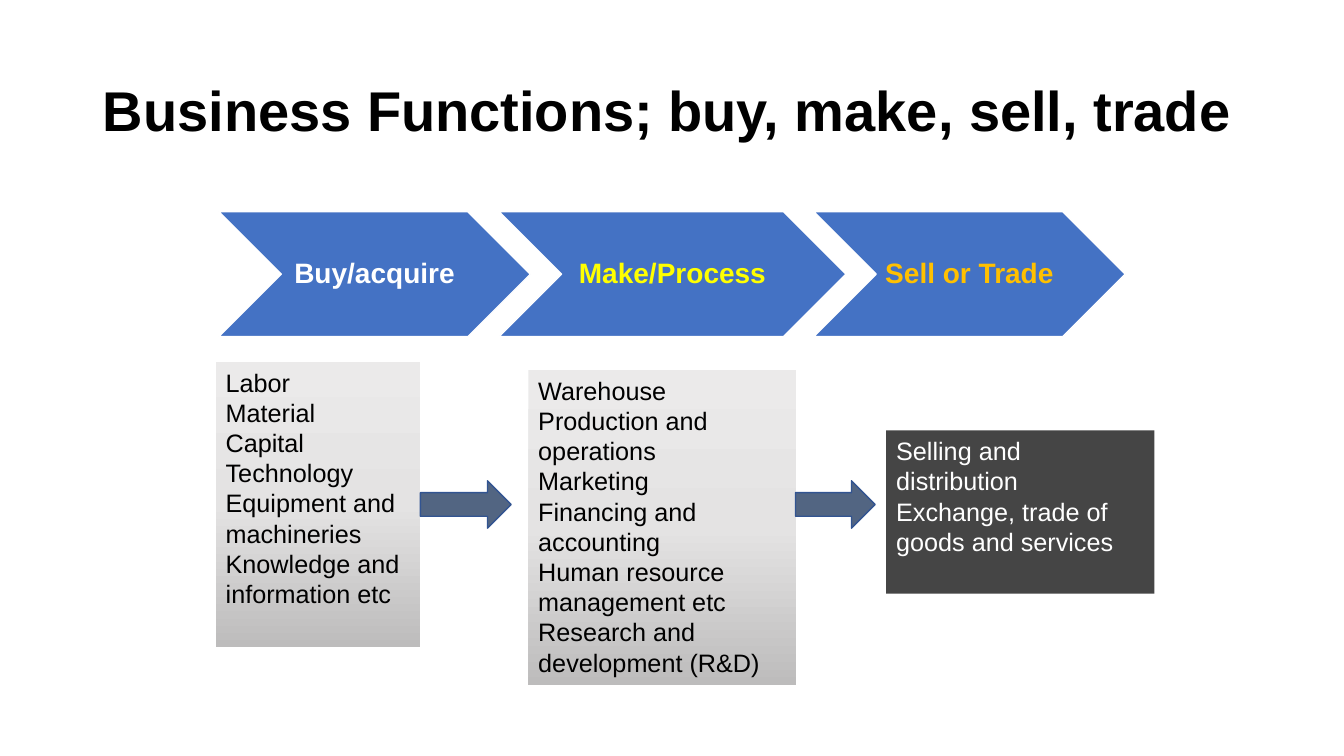
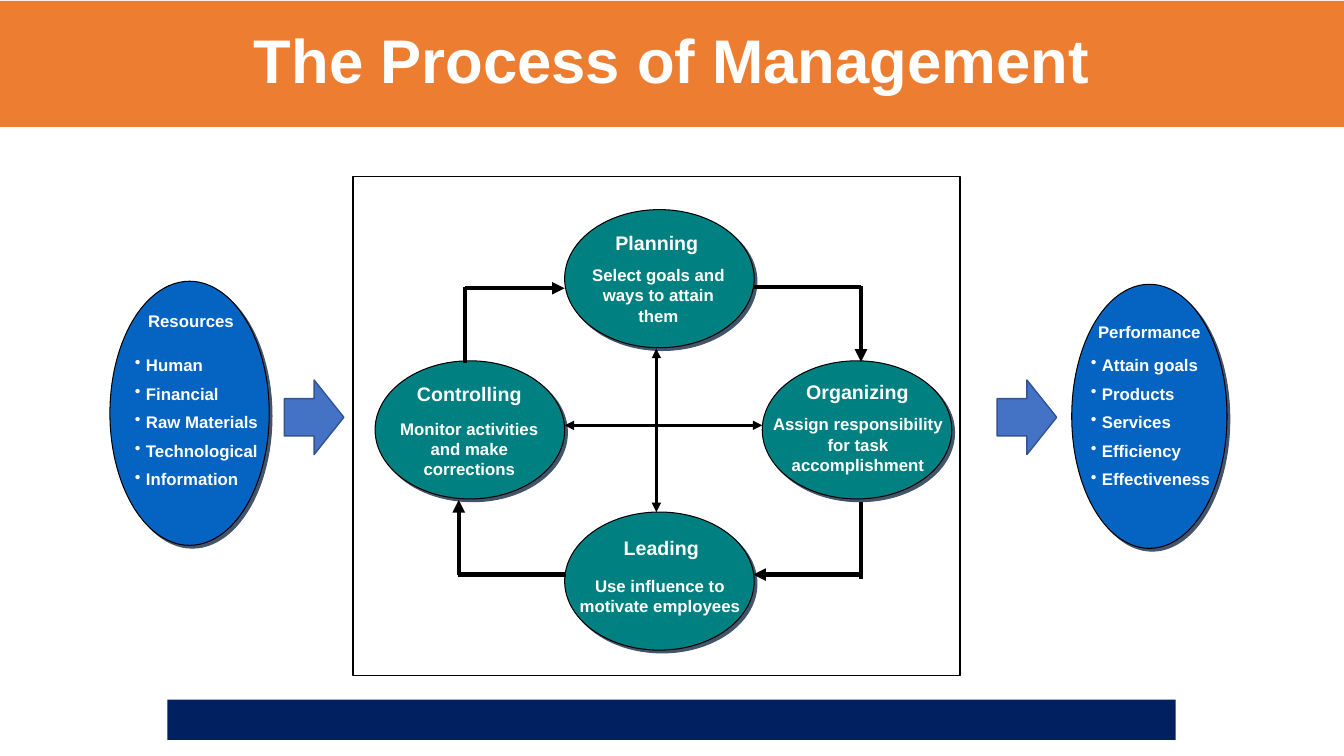
from lxml.etree import SubElement
from copy import deepcopy
from pptx import Presentation
from pptx.dml.color import RGBColor as RGB
from pptx.enum.shapes import MSO_CONNECTOR as CONN, MSO_SHAPE as SHAPE
from pptx.enum.text import MSO_ANCHOR as ANCHOR, MSO_AUTO_SIZE as AUTO, PP_ALIGN as ALIGN
from pptx.oxml.ns import qn
from pptx.util import Pt

PX = 9144  # EMU per px, 100 px to the inch
W, H = 1333, 750
FONT = "Arial"

BLACK = RGB(0, 0, 0)
WHITE = RGB(0xFF, 0xFF, 0xFF)
YELLOW = RGB(0xFF, 0xFF, 0)
GOLD = RGB(0xFF, 0xC0, 0)
ORANGE = RGB(0xED, 0x7D, 0x31)
BLUE = RGB(0x44, 0x72, 0xC4)
EDGE = RGB(0x32, 0x54, 0x91)
SLATE = RGB(0x52, 0x65, 0x82)
CHARCOAL = RGB(0x45, 0x45, 0x45)
NAVY = RGB(0, 0x20, 0x60)
ROYAL = RGB(0x05, 0x63, 0xC1)
TEAL = RGB(0, 0x80, 0x80)
GREYS = ((0, RGB(0xEB, 0xEA, 0xEA)), (0.5, RGB(0xE4, 0xE3, 0xE3)), (1, RGB(0xBD, 0xBC, 0xBC)))

HEADING = dict(size=Pt(14), bold=True)
DETAIL = dict(size=Pt(12), bold=True)


def px(*lengths):
    return [round(n * PX) for n in lengths]


def apply(obj, **values):
    for name, value in values.items():
        setattr(obj, name, value)


def write(shape, lines, color, align=ALIGN.LEFT, anchor=ANCHOR.TOP, margins=(10, 5),
          spacing=None, gap=0, bullet=False, **font):
    side, end = px(*margins)
    tf = shape.text_frame
    apply(tf, word_wrap=True, auto_size=AUTO.NONE, vertical_anchor=anchor,
          margin_left=side, margin_right=side, margin_top=end, margin_bottom=end)
    for i, line in enumerate(lines):
        p = tf.add_paragraph() if i else tf.paragraphs[0]
        if bullet:
            pPr = p._p.get_or_add_pPr()
            indent = px(11)[0]
            pPr.set("marL", str(indent))
            pPr.set("indent", str(-indent))
            SubElement(pPr, qn("a:buChar"), char="•")
        apply(p, alignment=align, line_spacing=spacing, space_before=Pt(gap if i else 0))
        r = p.add_run()
        r.text = line
        apply(r.font, name=FONT, **font)
        r.font.color.rgb = color


def add_title(slide, box, text, size, color, align, fill=None):
    title = slide.shapes.title
    apply(title, **dict(zip(("left", "top", "width", "height"), px(*box))))
    if fill is not None:
        title.fill.solid()
        title.fill.fore_color.rgb = fill
    write(title, [text], color, align, ANCHOR.MIDDLE, spacing=0.9, size=Pt(size), bold=True)


def add_shape(slide, kind, box, fill=None, line=None, weight=1):
    sp = slide.shapes.add_shape(kind, *px(*box))
    sp.shadow.inherit = False
    if fill is None:
        sp.fill.background()
    else:
        sp.fill.solid()
        sp.fill.fore_color.rgb = fill
    if line is None:
        sp.line.fill.background()
    else:
        sp.line.color.rgb = line
        sp.line.width = Pt(weight)
    return sp


def add_text(slide, box, lines, **style):
    write(slide.shapes.add_textbox(*px(*box)), lines, WHITE, **style)


def add_ellipse(slide, box, fill):
    """Outlined ellipse with a hard shadow to the lower right."""
    sp = add_shape(slide, SHAPE.OVAL, box, fill, BLACK, 0.75)
    effects = sp._element.spPr.find(qn("a:effectLst"))
    shadow = SubElement(effects, qn("a:outerShdw"), dist=str(Pt(2.8)), dir="2700000",
                        algn="ctr", rotWithShape="0")
    SubElement(shadow, qn("a:srgbClr"), val="44546A")


def add_line(slide, start, end, weight=3, arrows=()):
    cn = slide.shapes.add_connector(CONN.STRAIGHT, *px(*start, *end))
    cn.line.color.rgb = BLACK
    cn.line.width = Pt(weight)
    spPr = cn._element.spPr
    ln = spPr.find(qn("a:ln"))
    for arrow in arrows:
        SubElement(ln, qn(f"a:{arrow}End"), type="triangle")
    SubElement(spPr, qn("a:effectLst"))


def shade(sp):
    """Fill with a three-stop grey gradient, running downwards."""
    sp.fill.gradient()
    sp.fill.gradient_angle = 270
    stops = sp._element.spPr.find(qn("a:gradFill")).find(qn("a:gsLst"))
    stops.insert(1, deepcopy(stops[0]))
    for stop, (position, color) in zip(sp.fill.gradient_stops, GREYS):
        stop.position = position
        stop.color.rgb = color


def chevron_row(slide, x, y, h):
    for dx, w, label, color in ((0, 309, "Buy/acquire", WHITE),
                                (278, 344, "Make/Process", YELLOW),
                                (590, 309, "Sell or Trade", GOLD)):
        sp = add_shape(slide, SHAPE.CHEVRON, (x + dx, y, w, h), BLUE, WHITE)
        write(sp, [label], color, ALIGN.CENTER, ANCHOR.MIDDLE, (3, 3),
              spacing=0.9, size=Pt(20), bold=True)


def function_box(slide, box, lines, dark=False):
    sp = add_shape(slide, SHAPE.RECTANGLE, box, CHARCOAL)
    if not dark:
        shade(sp)
    write(sp, lines, WHITE if dark else BLACK, size=Pt(18))


def functions_slide(prs):
    slide = prs.slides.add_slide(prs.slide_layouts[5])
    add_title(slide, (92, 40, 1150, 145), "Business Functions; buy, make, sell, trade",
              40, BLACK, ALIGN.LEFT)
    chevron_row(slide, 217, 210, 124)
    function_box(slide, (214, 359, 203, 283),
                 ["Labor", "Material", "Capital", "Technology", "Equipment and machineries",
                  "Knowledge and information etc"])
    function_box(slide, (524, 367, 266, 313),
                 ["Warehouse", "Production and operations", "Marketing",
                  "Financing and accounting", "Human resource management etc",
                  "Research and development (R&D)"])
    function_box(slide, (879, 427, 266, 162),
                 ["Selling and distribution", "Exchange, trade of goods and services"], dark=True)
    for x, w in ((417, 90), (789, 79)):
        add_shape(slide, SHAPE.RIGHT_ARROW, (x, 477, w, 47), SLATE, EDGE)


def side_panel(slide, box, heading, heading_at, items, items_at):
    """Ellipse with a heading and bullets; each *_at is (dx, dy, width) in the box."""
    x, y = box[:2]
    add_ellipse(slide, box, ROYAL)
    dx, dy, w = heading_at
    add_text(slide, (x + dx, y + dy, w, 30), [heading], align=ALIGN.CENTER, margins=(5, 5), **DETAIL)
    dx, dy, w = items_at
    add_text(slide, (x + dx, y + dy, w, 151), items, gap=6, bullet=True, **DETAIL)


def cycle_node(slide, x, y, heading, heading_at, detail, detail_at):
    add_ellipse(slide, (x, y, 188, 137), TEAL)
    for text, (dx, dy, w), h, font in ((heading, heading_at, 34, HEADING),
                                       (detail, detail_at, 71, DETAIL)):
        add_text(slide, (x + dx, y + dy, w, h), [text], align=ALIGN.CENTER, margins=(5, 5), **font)


def management_cycle(slide, x, y, w, h):
    """Framed ring of four functions, joined by arrows."""
    for dx, dy, *parts in (
            (22, 183, "Controlling", (30, 16, 127),
             "Monitor activities and make corrections", (5, 52, 177)),
            (210, 33, "Planning", (36, 16, 111),
             "Select goals and ways to attain them", (17, 50, 152)),
            (406, 183, "Organizing", (33, 14, 123),
             "Assign responsibility for task accomplishment", (-3, 48, 196)),
            (210, 333, "Leading", (46, 19, 100),
             "Use influence to motivate employees", (-1, 58, 191))):
        cycle_node(slide, x + dx, y + dy, *parts)
    for (x1, y1), (x2, y2), weight, arrows in (
            ((111, 185), (111, 110), 3, ()),
            ((111, 111), (210, 111), 3, ["tail"]),
            ((397, 110), (504, 110), 3, ()),
            ((504, 109), (504, 184), 3, ["tail"]),
            ((504, 323), (504, 399), 3, ()),
            ((504, 395), (397, 395), 3, ["tail"]),
            ((211, 395), (104, 395), 3, ()),
            ((105, 395), (105, 321), 3, ["tail"]),
            ((210, 247), (406, 247), 2.25, ["head", "tail"]),
            ((301, 171), (301, 333), 2.25, ["head", "tail"])):
        add_line(slide, (x + x1, y + y1), (x + x2, y + y2), weight, arrows)
    add_shape(slide, SHAPE.RECTANGLE, (x, y, w, h), line=BLACK)


def process_slide(prs):
    slide = prs.slides.add_slide(prs.slide_layouts[5])
    add_title(slide, (0, 1, W, 125), "The Process of Management", 44, WHITE, ALIGN.CENTER, ORANGE)
    side_panel(slide, (109, 279, 158, 262), "Resources", (27, 24, 107),
               ["Human", "Financial", "Raw Materials", "Technological", "Information"],
               (15, 68, 150))
    side_panel(slide, (1063, 282, 154, 262), "Performance", (9, 32, 136),
               ["Attain goals", "Products", "Services", "Efficiency", "Effectiveness"],
               (9, 65, 142))
    management_cycle(slide, 350, 175, 602, 495)
    add_shape(slide, SHAPE.RECTANGLE, (166, 694, 1000, 40), NAVY)
    for x in (282, 989):
        add_shape(slide, SHAPE.RIGHT_ARROW, (x, 377, 59, 74), BLUE, EDGE)


def main():
    prs = Presentation()
    prs.slide_width, prs.slide_height = px(W, H)
    functions_slide(prs)
    process_slide(prs)
    prs.save("out.pptx")


if __name__ == "__main__":
    main()
